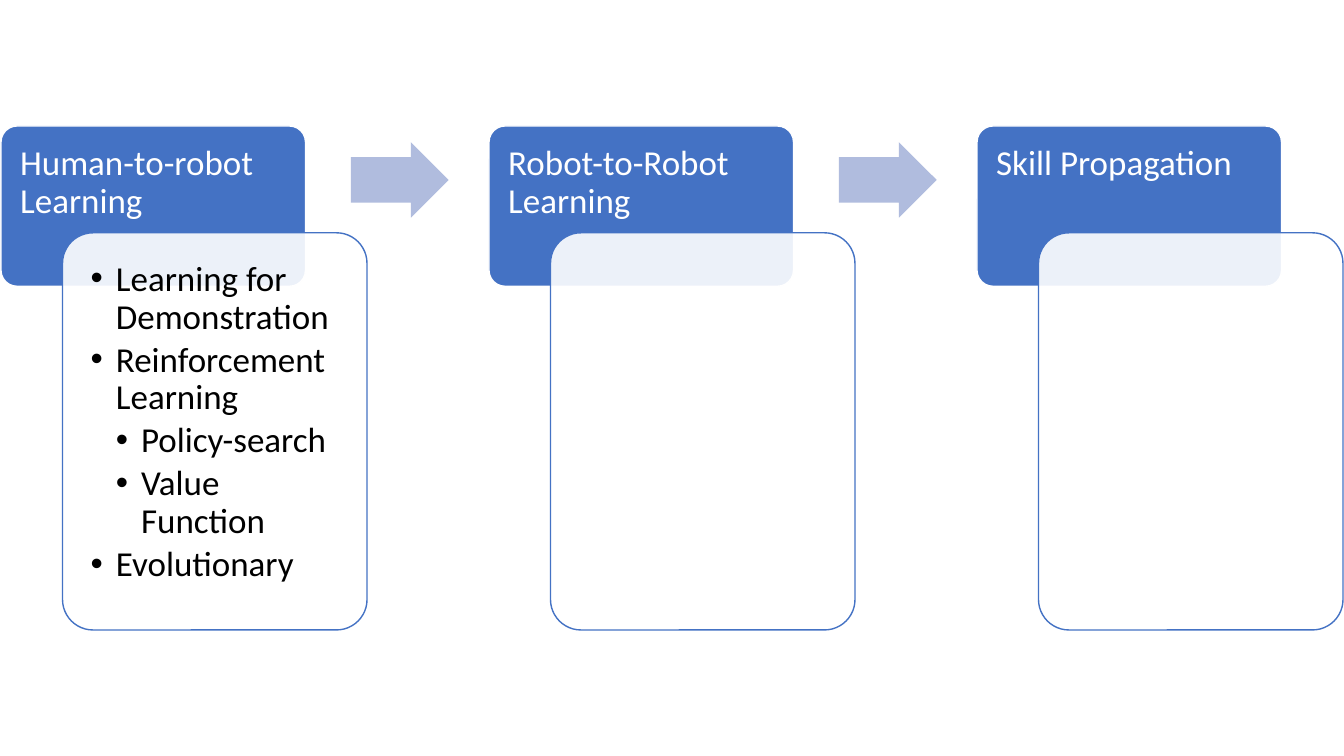
from lxml.etree import SubElement
from pptx import Presentation
from pptx.dml.color import RGBColor
from pptx.enum.shapes import MSO_SHAPE
from pptx.enum.text import MSO_ANCHOR, PP_ALIGN
from pptx.oxml.ns import qn
from pptx.util import Inches, Pt

# Content: stage heading, then its (level, text) bullets
STAGES = [
    ("Human-to-robot Learning", [
        (1, "Learning for Demonstration"),
        (1, "Reinforcement Learning"),
        (2, "Policy-search"),
        (2, "Value Function"),
        (1, "Evolutionary"),
    ]),
    ("Robot-to-Robot Learning", []),
    ("Skill Propagation", []),
]
COLORS = {"blue": "4472C4", "arrow": "B0BCDE", "white": "FFFFFF", "black": "000000"}
FONT, TEXT_SIZE = "Calibri", 25

# Layout in inches
LEFT, TOP, PITCH = 0.01, 1.25, 4.84
BOX_WIDTH, HEADING_HEIGHT, HEADING_TEXT_HEIGHT = 3.02, 1.59, 1.06
PANEL_SHIFT, PANEL_HEIGHT, PANEL_MARGIN = 0.61, 3.94, 0.09
ARROW_SHIFT, ARROW_DROP, ARROW_WIDTH, ARROW_HEIGHT = 3.47, 0.16, 0.97, 0.75
INSET, BULLET_INDENT = 0.19, 0.25

presentation = Presentation()
presentation.slide_width, presentation.slide_height = Inches(13.33), Inches(7.5)
slide = presentation.slides.add_slide(presentation.slide_layouts[6])


def rgb(name):
    return RGBColor.from_string(COLORS[name])


def add_block(kind, box, adjustments, fill, line=None, opacity=None):
    shape = slide.shapes.add_shape(kind, *map(Inches, box))
    shape.shadow.inherit = False
    for index, value in enumerate(adjustments):
        shape.adjustments[index] = value
    shape.fill.solid()
    shape.fill.fore_color.rgb = rgb(fill)
    if opacity:
        color = shape.fill._xPr.find(qn("a:solidFill"))[0]
        SubElement(color, qn("a:alpha"), val=str(opacity * 1000))
    if line:
        shape.line.color.rgb = rgb(line)
        shape.line.width = Pt(1)
    else:
        shape.line.fill.background()


def add_text(box, paragraphs, color, space_after, bottom_inset):
    text_frame = slide.shapes.add_textbox(*map(Inches, box)).text_frame
    text_frame.word_wrap = True
    text_frame.vertical_anchor = MSO_ANCHOR.TOP
    text_frame.margin_left = text_frame.margin_right = text_frame.margin_top = Inches(INSET)
    text_frame.margin_bottom = Inches(bottom_inset)
    text_frame.text = "\n".join(text for level, text in paragraphs)
    for paragraph, (level, text) in zip(text_frame.paragraphs, paragraphs):
        paragraph.alignment = PP_ALIGN.LEFT
        paragraph.line_spacing = 0.9
        paragraph.space_after = Pt(TEXT_SIZE * space_after)
        font = paragraph.runs[0].font
        font.name, font.size = FONT, Pt(TEXT_SIZE)
        font.color.rgb = rgb(color)
        if level:
            paragraph.level = level
            properties = paragraph._p.get_or_add_pPr()
            properties.set("marL", str(Inches(BULLET_INDENT * level)))
            properties.set("indent", str(-Inches(BULLET_INDENT)))
            SubElement(properties, qn("a:buFont"), typeface="Arial")
            SubElement(properties, qn("a:buChar"), char="•")


for index, (heading, bullets) in enumerate(STAGES):
    left = LEFT + index * PITCH

    # Heading box
    add_block(MSO_SHAPE.ROUNDED_RECTANGLE, (left, TOP, BOX_WIDTH, HEADING_HEIGHT),
              [0.1], "blue", "white")
    add_text((left, TOP, BOX_WIDTH, HEADING_TEXT_HEIGHT), [(0, heading)],
             "white", 0.35, 0.1)

    # Translucent detail panel
    panel_left, panel_top = left + PANEL_SHIFT, TOP + HEADING_TEXT_HEIGHT
    add_block(MSO_SHAPE.ROUNDED_RECTANGLE, (panel_left, panel_top, BOX_WIDTH, PANEL_HEIGHT),
              [0.1], "white", "blue", opacity=90)
    if bullets:
        add_text((panel_left + PANEL_MARGIN, panel_top + PANEL_MARGIN,
                  BOX_WIDTH - 2 * PANEL_MARGIN, PANEL_HEIGHT - 2 * PANEL_MARGIN),
                 bullets, "black", 0.15, INSET)

    # Arrow to the next stage
    if index < len(STAGES) - 1:
        add_block(MSO_SHAPE.RIGHT_ARROW,
                  (left + ARROW_SHIFT, TOP + ARROW_DROP, ARROW_WIDTH, ARROW_HEIGHT),
                  [0.6, 0.5], "arrow")

presentation.save("out.pptx")
